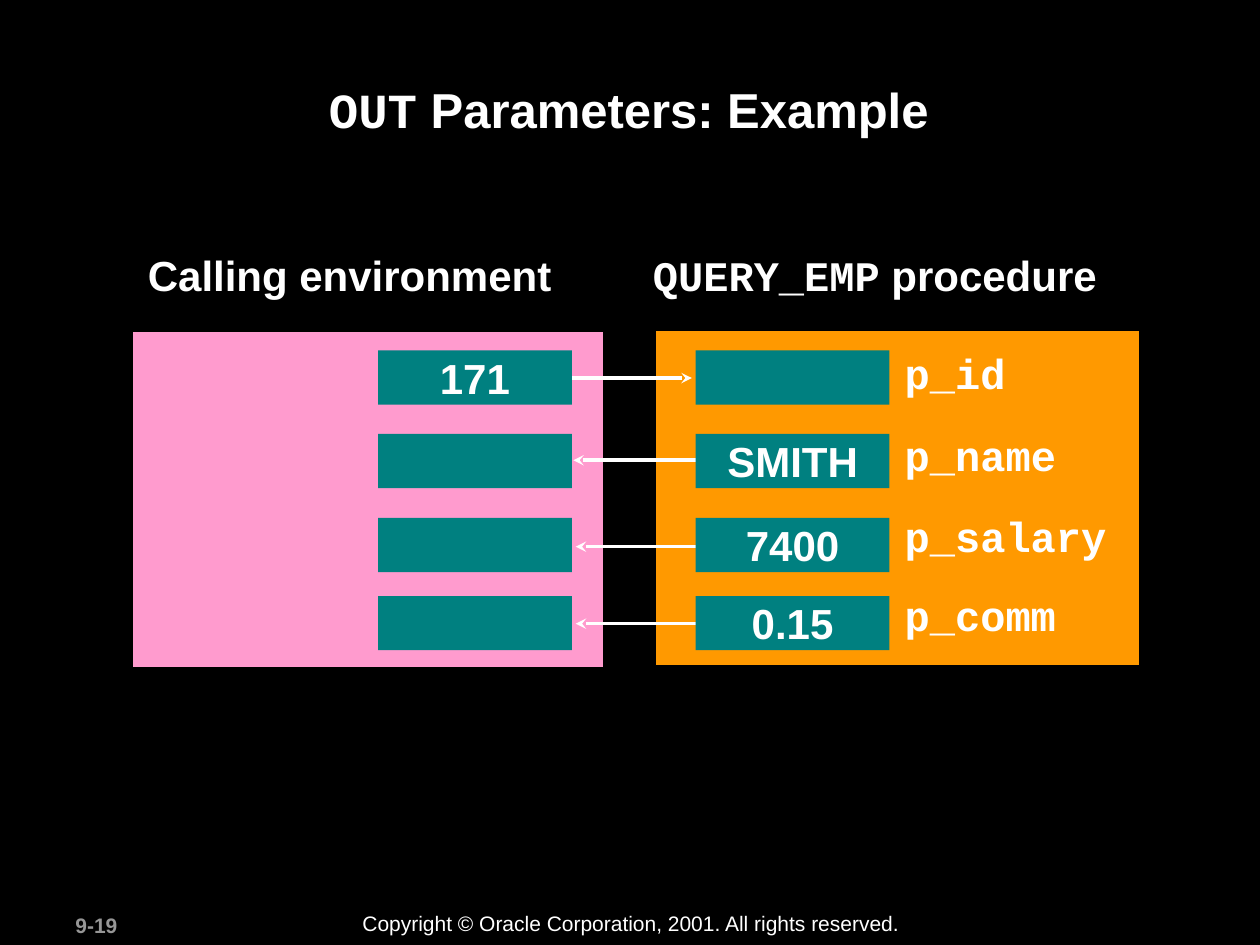
import pptx
import pptx.dml.color
import pptx.enum.shapes
import pptx.enum.text
import pptx.oxml.ns
import pptx.util
from lxml import etree

Pt = pptx.util.Pt
ALIGN = pptx.enum.text.PP_ALIGN
SANS, MONO = "Arial", "Courier New"
COLORS = {
    "background": "000000",
    "text": "FFFFFF",
    "page_number": "969696",
    "caller": "FF9BCE",
    "procedure": "FF9900",
    "cell": "008080",
}
CALLER_LEFT, PROCEDURE_LEFT, LABEL_LEFT = 216, 397.5, 510.5
CELL_WIDTH, CELL_HEIGHT = 110.8, 31
TEXT_HEIGHT = 35.3
ROWS = [
    {"top": 200.2, "label": ("p_id", 195.2, 73.5), "value": "171",
     "left": CALLER_LEFT, "arrow": (319.7, 395.3, 216)},
    {"top": 248, "label": ("p_name", 242, 116.6), "value": "SMITH",
     "left": PROCEDURE_LEFT, "arrow": (406.8, 327.6, 263)},
    {"top": 296, "label": ("p_salary", 288, 132.5), "value": "7400",
     "left": PROCEDURE_LEFT, "arrow": (407.5, 329, 312.4)},
    {"top": 340.6, "label": ("p_comm", 333.4, 131.8), "value": "0.15",
     "left": PROCEDURE_LEFT, "arrow": (407.5, 329, 356.4)},
]


def color(name):
    return pptx.dml.color.RGBColor.from_string(COLORS[name])


def add_rectangle(page, left, top, width, height, fill, border=0):
    shape = page.shapes.add_shape(
        pptx.enum.shapes.MSO_SHAPE.RECTANGLE,
        Pt(left), Pt(top), Pt(width), Pt(height))
    shape.shadow.inherit = False
    shape.fill.solid()
    shape.fill.fore_color.rgb = color(fill)
    if border:
        shape.line.color.rgb = color("background")
        shape.line.width = Pt(border)
    else:
        shape.line.fill.background()


def add_text(page, left, top, width, height, runs, size=24, fill="text",
             bold=True, align=ALIGN.LEFT, inset=6.5):
    box = page.shapes.add_textbox(Pt(left), Pt(top), Pt(width), Pt(height))
    frame = box.text_frame
    frame.word_wrap = True
    frame.margin_left = frame.margin_right = Pt(inset)
    frame.margin_top = frame.margin_bottom = Pt(3.6)
    para = frame.paragraphs[0]
    para.alignment = align
    for text, font in runs:
        span = para.add_run()
        span.text = text
        span.font.name = font
        span.font.size = Pt(size)
        span.font.bold = bold
        span.font.color.rgb = color(fill)


def add_arrow(page, start, end, y):
    arrow = page.shapes.add_connector(
        pptx.enum.shapes.MSO_CONNECTOR.STRAIGHT,
        Pt(start), Pt(y), Pt(end), Pt(y))
    arrow.line.color.rgb = color("text")
    arrow.line.width = Pt(2)
    qn = pptx.oxml.ns.qn
    properties = arrow.line._get_or_add_ln()
    etree.SubElement(properties, qn("a:tailEnd"), type="stealth")
    etree.SubElement(properties.getparent(), qn("a:effectLst"))


def add_row(page, row):
    add_arrow(page, *row["arrow"])
    for left in (CALLER_LEFT, PROCEDURE_LEFT):
        add_rectangle(page, left, row["top"], CELL_WIDTH, CELL_HEIGHT, "cell")
    add_text(page, row["left"], row["top"] - 2.6, CELL_WIDTH, TEXT_HEIGHT,
             [(row["value"], SANS)], align=ALIGN.CENTER)
    label, top, width = row["label"]
    add_text(page, LABEL_LEFT, top, width, TEXT_HEIGHT, [(label, MONO)])


def main():
    deck = pptx.Presentation()
    deck.slide_width, deck.slide_height = Pt(720), Pt(540)
    page = deck.slides.add_slide(deck.slide_layouts[6])
    page.background.fill.solid()
    page.background.fill.fore_color.rgb = color("background")

    add_text(page, 36, 517.7, 75.6, 21.6, [("9-19", SANS)], size=12,
             fill="page_number", inset=7.2)
    add_text(page, 200, 517, 322.6, 21.6,
             [("Copyright © Oracle Corporation, 2001. All rights reserved.", SANS)],
             size=12, bold=False, inset=7.2)
    add_text(page, 67.7, 41.8, 583.2, 69.1,
             [("OUT", MONO), (" Parameters: Example", SANS)],
             size=28, align=ALIGN.CENTER, inset=7.2)

    add_rectangle(page, 374.6, 188.8, 276.8, 191.5, "procedure", 1)
    add_rectangle(page, 75.2, 188.8, 270.4, 193.6, "caller", 2)
    add_text(page, 78, 139, 244, TEXT_HEIGHT, [("Calling environment", SANS)])
    add_text(page, 366.6, 139, 296.6, TEXT_HEIGHT,
             [("QUERY_EMP", MONO), (" procedure", SANS)])

    for row in ROWS:
        add_row(page, row)
    deck.save("out.pptx")


if __name__ == "__main__":
    main()
